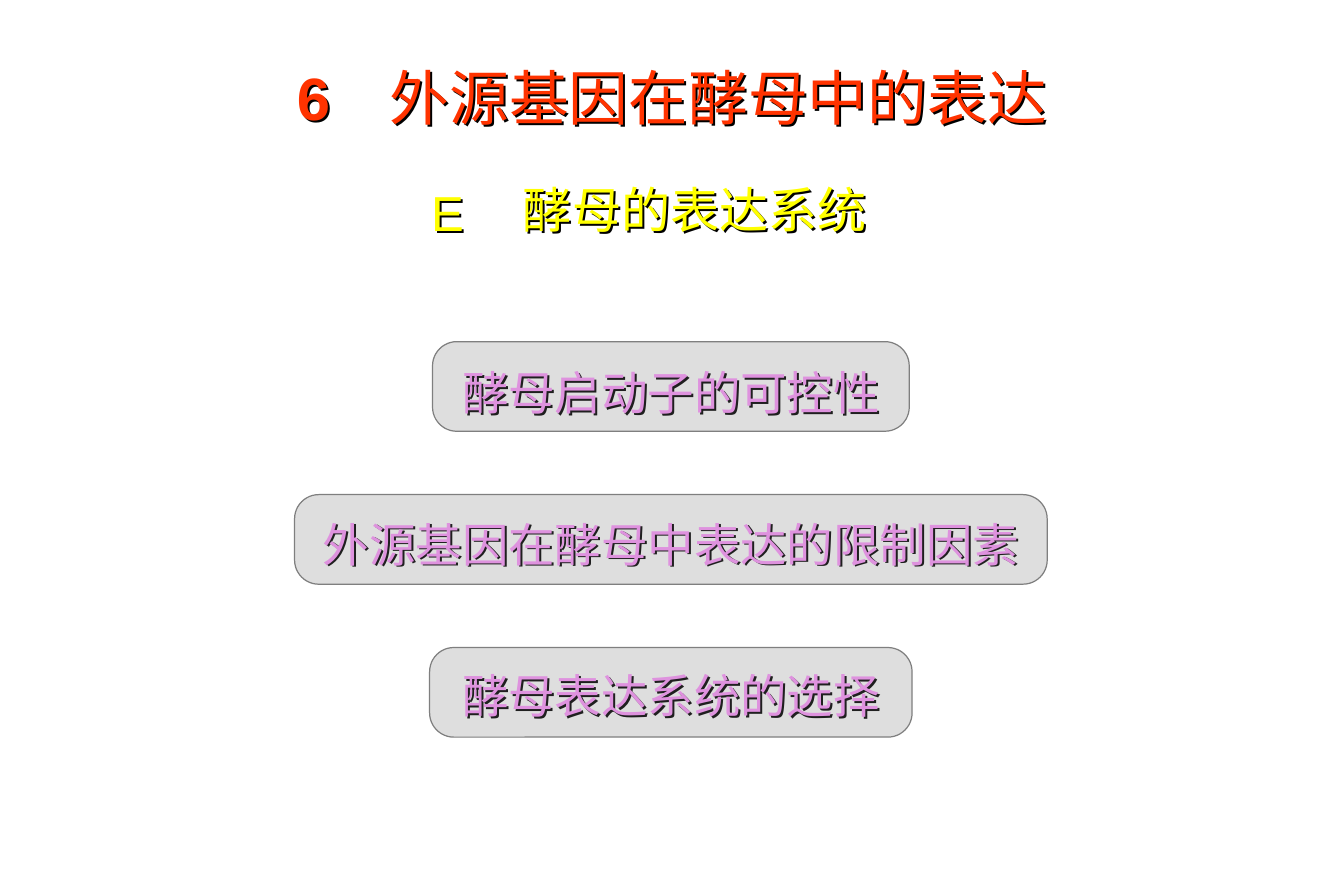
from lxml import etree
from pptx import Presentation
from pptx import util as u
from pptx.dml.color import RGBColor
from pptx.enum import shapes, text
from pptx.oxml import ns

RED = RGBColor(0xFF, 0x33, 0x00)
YELLOW = RGBColor(0xFF, 0xFF, 0x00)
PINK = RGBColor(0xFF, 0x99, 0xFF)
GREY = RGBColor(0x7F, 0x7F, 0x7F)

CENTRE = 49.92  # column on which the topics are centred
TOPICS = [  # wording, text columns, panel columns
    ("酵母启动子的可控性", 35.2, 35.47),
    ("外源基因在酵母中表达的限制因素", 55.2, 56),
    ("酵母表达系统的选择", 36.1, 35.9),
]


class TopicSlide:
    """Places elements on a grid of 100 columns by 100 rows."""

    def __init__(self, deck):
        self.column = deck.slide_width / 100
        self.row = deck.slide_height / 100
        self.page = deck.slides.add_slide(deck.slide_layouts[5])

    def area(self, left, top, width, height):
        return (round(left * self.column), round(top * self.row),
                round(width * self.column), round(height * self.row))

    def cast_shadow(self, box):
        effects = etree.SubElement(box._element.spPr, ns.qn("a:effectLst"))
        shadow = etree.SubElement(effects, ns.qn("a:outerShdw"),
                                  dist=str(u.Pt(1.7)), dir="2700000", algn="tl")
        etree.SubElement(shadow, ns.qn("a:srgbClr"), val="000000")

    def fill_text(self, box, spans, size, color, **layout):
        frame = box.text_frame
        settings = {"word_wrap": True, "auto_size": text.MSO_AUTO_SIZE.NONE,
                    "vertical_anchor": text.MSO_ANCHOR.TOP}
        for name, value in settings.items():
            setattr(frame, name, value)
        para = frame.paragraphs[0]
        for name, value in layout.items():
            setattr(para, name, value)
        for wording, bold in spans:
            span = para.add_run()
            span.text = wording
            style = {"name": "Arial", "size": u.Pt(size), "bold": bold}
            for name, value in style.items():
                setattr(span.font, name, value)
            span.font.color.rgb = color
        self.cast_shadow(box)

    def title(self, area, spans):
        box = self.page.shapes.title
        box.left, box.top, box.width, box.height = self.area(*area)
        self.fill_text(box, spans, 36, RED, alignment=text.PP_ALIGN.CENTER)

    def label(self, area, wording, size, color, **layout):
        box = self.page.shapes.add_textbox(*self.area(*area))
        self.fill_text(box, [(wording, False)], size, color, **layout)

    def panel(self, area):
        box = self.page.shapes.add_shape(
            shapes.MSO_SHAPE.ROUNDED_RECTANGLE, *self.area(*area))
        box.adjustments[0] = 0.27
        box.shadow.inherit = False
        box.fill.solid()
        box.fill.fore_color.rgb = GREY
        tint = box._element.spPr.find(
            f"{ns.qn('a:solidFill')}/{ns.qn('a:srgbClr')}")
        etree.SubElement(tint, ns.qn("a:alpha"), val="25000")
        box.line.color.rgb = GREY
        box.line.width = u.Pt(0.75)


def main():
    deck = Presentation()
    deck.slide_width, deck.slide_height = u.Inches(11.25), u.Inches(7.5)
    slide = TopicSlide(deck)

    # Heading
    slide.title((9.24, 6.13, 81.5, 10),
                [("6　", True), ("外源基因在酵母中的表达", False)])

    # Topics, each under a translucent panel
    for index, (wording, text_width, panel_width) in enumerate(TOPICS):
        slide.label((CENTRE - text_width / 2, 37.47 + 16.93 * index,
                     text_width, 10.27), wording, 28, PINK,
                    alignment=text.PP_ALIGN.CENTER, line_spacing=1.4)
        slide.panel((CENTRE - panel_width / 2, 38.13 + 17.07 * index,
                     panel_width, 10))

    # Section letter and name
    slide.label((38.04, 20.13, 30.76, 8.4), "酵母的表达系统", 29.6, YELLOW,
                line_spacing=0.9)
    slide.label((31.2, 20.4, 7.73, 8.4), "E", 29.6, YELLOW, line_spacing=0.9)

    deck.save("out.pptx")


if __name__ == "__main__":
    main()
